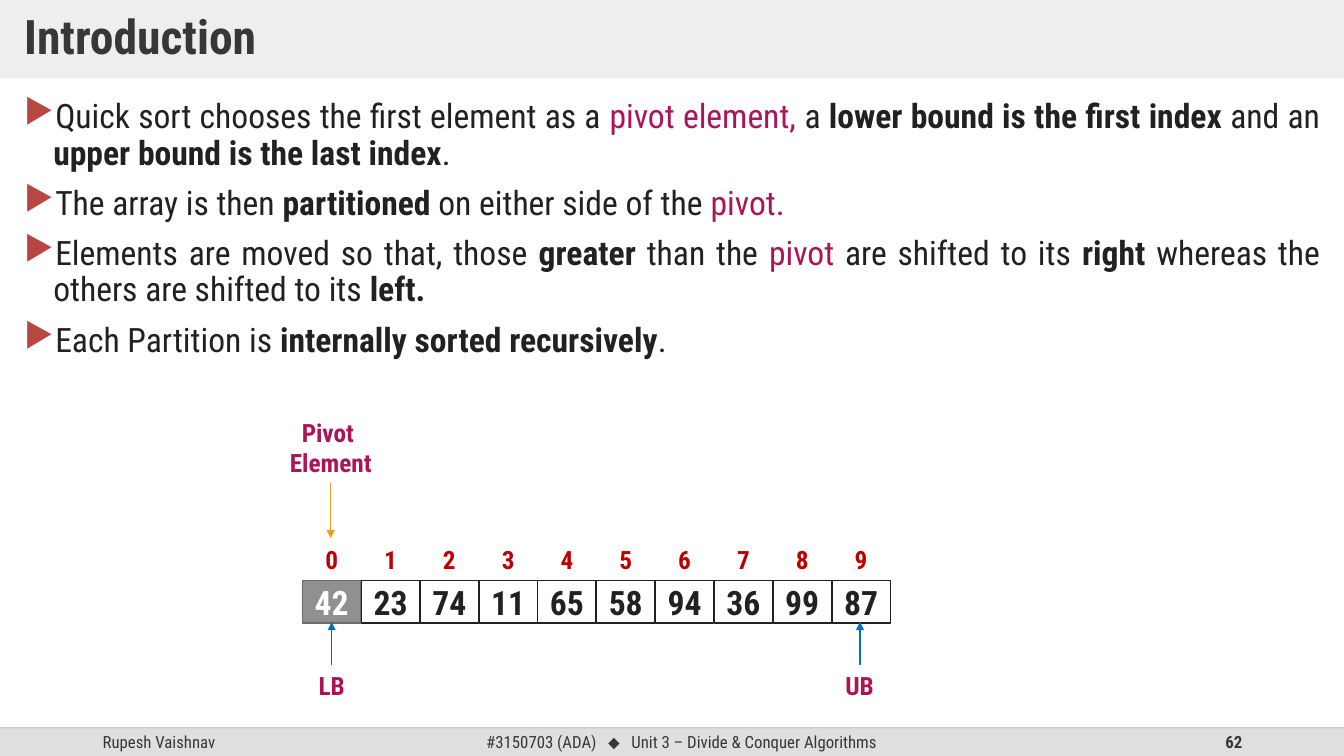
from dataclasses import dataclass
from typing import Any, Optional

from lxml import etree
from pptx import Presentation
from pptx.dml.color import RGBColor
from pptx.enum.shapes import MSO_CONNECTOR, MSO_SHAPE
from pptx.enum.text import MSO_ANCHOR, MSO_AUTO_SIZE, PP_ALIGN
from pptx.oxml.ns import qn
from pptx.util import Inches, Pt

LEFT, MID, RIGHT, FULL = PP_ALIGN.LEFT, PP_ALIGN.CENTER, PP_ALIGN.RIGHT, PP_ALIGN.JUSTIFY
TOP, CENTRE = MSO_ANCHOR.TOP, MSO_ANCHOR.MIDDLE
GROW, FIXED = MSO_AUTO_SIZE.SHAPE_TO_FIT_TEXT, MSO_AUTO_SIZE.NONE
RECT, ROUND = MSO_SHAPE.RECTANGLE, MSO_SHAPE.ROUNDED_RECTANGLE
STRAIGHT = MSO_CONNECTOR.STRAIGHT

WHITE = RGBColor(0xFF, 0xFF, 0xFF)
INK = RGBColor(0x21, 0x21, 0x21)
SLATE = RGBColor(0x37, 0x37, 0x37)
SILVER = RGBColor(0xDF, 0xDF, 0xDF)
RULE = RGBColor(0xBF, 0xBF, 0xBF)
GREY = RGBColor(0x90, 0x90, 0x90)
EDGE = RGBColor(0x6B, 0x6B, 0x6B)
PINK = RGBColor(0xAD, 0x14, 0x57)
RED = RGBColor(0xC0, 0x00, 0x00)
BLUE = RGBColor(0x00, 0x70, 0xC0)
AMBER = RGBColor(0xF1, 0x9D, 0x19)
FACE = "Roboto Condensed"

PLAIN = {"bold": False, "color": INK}
BOLD = {"bold": True, "color": INK}
KEY = {"bold": False, "color": PINK}
TITLE = {"name": FACE, "size": Pt(34), "bold": True, "color": SLATE}
BODY = {"name": FACE, "size": Pt(24)}
FOOT = {"name": FACE, "size": Pt(12), "color": SLATE}
PAGE = {**FOOT, "bold": True}
LABEL = {"name": FACE, "size": Pt(18), "bold": True, "color": PINK}
INDEX = {**LABEL, "color": RED}
VALUE = {**BODY, **BOLD}

Runs = list[tuple[str, dict[str, Any]]]

POINTS: list[Runs] = [
    [("Quick sort chooses the first element as a ", PLAIN), ("pivot element, ", KEY),
     ("a ", PLAIN), ("lower bound is the first index ", BOLD), ("and an ", PLAIN),
     ("upper bound is the last index", BOLD), (".", PLAIN)],
    [("The array is then ", PLAIN), ("partitioned", BOLD),
     (" on either side of the ", PLAIN), ("pivot.", KEY)],
    [("Elements are moved so that, those ", PLAIN), ("greater", BOLD),
     (" than the ", PLAIN), ("pivot", KEY), (" are shifted to its ", PLAIN),
     ("right ", BOLD), ("whereas the others are shifted to its ", PLAIN), ("left.", BOLD)],
    [("Each Partition is ", PLAIN), ("internally sorted recursively", BOLD), (".", PLAIN)],
]
VALUES = [42, 23, 74, 11, 65, 58, 94, 36, 99, 87]
START, PITCH, WIDE, HIGH = 3, 5.25 / 9, 0.58, 0.42
INDEX_TOP, VALUE_TOP = 5.34, 5.76


@dataclass
class Box:
    left: float
    top: float
    width: float
    height: float

    def size(self) -> list[int]:
        return [Inches(n) for n in (self.left, self.top, self.width, self.height)]


@dataclass
class Note:
    box: Box
    lines: list[Runs]
    align: Any = MID
    anchor: Any = CENTRE
    wrap: bool = True
    fit: Any = FIXED


@dataclass
class Stroke:
    start: tuple[float, float]
    end: tuple[float, float]
    color: RGBColor
    arrow: bool = True


def style(item: Any, form: dict[str, Any]) -> None:
    for name, value in form.items():
        if name == "color":
            item.color.rgb = value
        else:
            setattr(item, name, value)


def fade(fill: Any, share: int) -> None:
    tone = fill.find(".//" + qn("a:srgbClr"))
    etree.SubElement(tone, qn("a:alpha"), val=str(share * 1000))


def write(par: Any, runs: Runs) -> None:
    for text, form in runs:
        run = par.add_run()
        run.text = text
        style(run.font, form)


def add_note(slide: Any, note: Note) -> Any:
    shape = slide.shapes.add_textbox(*note.box.size())
    frame = shape.text_frame
    style(frame, {"word_wrap": note.wrap, "auto_size": note.fit,
                  "vertical_anchor": note.anchor})
    for i, runs in enumerate(note.lines):
        par = frame.add_paragraph() if i else frame.paragraphs[0]
        par.alignment = note.align
        write(par, runs)
    return frame


def add_block(slide: Any, kind: Any, box: Box, fill: RGBColor,
              edge: Optional[RGBColor] = None, runs: Optional[Runs] = None) -> Any:
    shape = slide.shapes.add_shape(kind, *box.size())
    shape.shadow.inherit = False
    shape.fill.solid()
    shape.fill.fore_color.rgb = fill
    if edge is None:
        shape.line.fill.background()
    else:
        shape.line.color.rgb = edge
        shape.line.width = Pt(1)
    if runs:
        shape.text_frame.vertical_anchor = CENTRE
        par = shape.text_frame.paragraphs[0]
        par.alignment = MID
        write(par, runs)
    return shape


def add_stroke(slide: Any, stroke: Stroke) -> Any:
    ends = [Inches(n) for n in stroke.start + stroke.end]
    line = slide.shapes.add_connector(STRAIGHT, *ends)
    line.line.color.rgb = stroke.color
    line.line.width = Pt(1)
    if stroke.arrow:
        etree.SubElement(line.line._get_or_add_ln(), qn("a:tailEnd"), type="triangle")
    etree.SubElement(line._element.spPr, qn("a:effectLst"))
    return line


def add_title(slide: Any) -> None:
    shape = slide.shapes.title
    style(shape, dict(zip(("left", "top", "width", "height"),
                          Box(0, 0, 13.33, 0.78).size())))
    shape.fill.solid()
    shape.fill.fore_color.rgb = SILVER
    fade(shape._element.spPr, 50)
    frame = shape.text_frame
    style(frame, {"margin_left": Inches(0.24), "margin_right": Inches(0.24),
                  "margin_top": Inches(0.12), "margin_bottom": Inches(0.12),
                  "vertical_anchor": CENTRE, "auto_size": FIXED, "word_wrap": True})
    par = frame.paragraphs[0]
    style(par, {"alignment": LEFT, "line_spacing": 0.9})
    write(par, [("Introduction", TITLE)])


def add_points(slide: Any) -> None:
    lines = [[(text, {**BODY, **form}) for text, form in runs] for runs in POINTS]
    frame = add_note(slide, Note(Box(0.14, 0.94, 13.05, 6.11), lines, FULL, TOP))
    for i, par in enumerate(frame.paragraphs):
        props = par._p.get_or_add_pPr()
        props.set("marL", str(Inches(0.29)))
        props.set("indent", str(-Inches(0.29)))
        tint = etree.SubElement(props, qn("a:buClr"))
        etree.SubElement(tint, qn("a:srgbClr"), val="B84742")
        etree.SubElement(props, qn("a:buChar"), char="▶")
        style(par, {"line_spacing": 0.9, "space_before": Pt(10 if i else 0)})


def add_footer(slide: Any) -> None:
    bar = add_block(slide, ROUND, Box(0, 7.22, 13.33, 0.28), SILVER)
    bar.adjustments[0] = 0
    unit: Runs = [("#3150703 (ADA)", FOOT), (" ", FOOT), ("⬥", {**FOOT, "name": "Arial"}),
                  (" ", FOOT), ("Unit 3 – Divide & Conquer Algorithms", FOOT)]
    add_note(slide, Note(Box(0.92, 7.22, 3, 0.28), [[("Rupesh Vaishnav", FOOT)]], LEFT))
    frame = add_note(slide, Note(Box(4.42, 7.22, 4.68, 0.28), [unit]))
    for run in frame.paragraphs[0].runs:
        if run.text == " ":
            run._r.get_or_add_rPr().set("spc", "540")
    add_note(slide, Note(Box(9.42, 7.22, 3, 0.28), [[("62", PAGE)]], RIGHT))
    rule = add_stroke(slide, Stroke((0, 7.22), (13.33, 7.22), RULE, False))
    fade(rule._element.spPr, 70)


def add_array(slide: Any) -> None:
    for i, value in enumerate(VALUES):
        left = START + i * PITCH
        fill, edge, ink = (WHITE, INK, INK) if i else (GREY, EDGE, WHITE)
        add_block(slide, RECT, Box(left, INDEX_TOP, WIDE, HIGH), WHITE,
                  runs=[(str(i), INDEX)])
        add_block(slide, RECT, Box(left, VALUE_TOP, WIDE, HIGH), fill, edge,
                  [(str(value), {**VALUE, "color": ink})])
    for box, words in [(Box(3.06, 6.6, 0.46, 0.4), ["LB"]),
                       (Box(8.28, 6.6, 0.49, 0.4), ["UB"]),
                       (Box(2.77, 4.08, 1.02, 0.71), ["Pivot ", "Element"])]:
        add_note(slide, Note(box, [[(word, LABEL)] for word in words], wrap=False, fit=GROW))
    for stroke in [Stroke((3.29, 6.6), (3.29, 6.17), BLUE),
                   Stroke((8.53, 6.6), (8.53, 6.17), BLUE),
                   Stroke((3.28, 4.79), (3.28, 5.34), AMBER)]:
        add_stroke(slide, stroke)


def main() -> None:
    deck = Presentation()
    style(deck, {"slide_width": Inches(13.33), "slide_height": Inches(7.5)})
    slide = deck.slides.add_slide(deck.slide_layouts[5])
    add_footer(slide)
    add_title(slide)
    add_points(slide)
    add_array(slide)
    deck.save("out.pptx")


if __name__ == "__main__":
    main()
